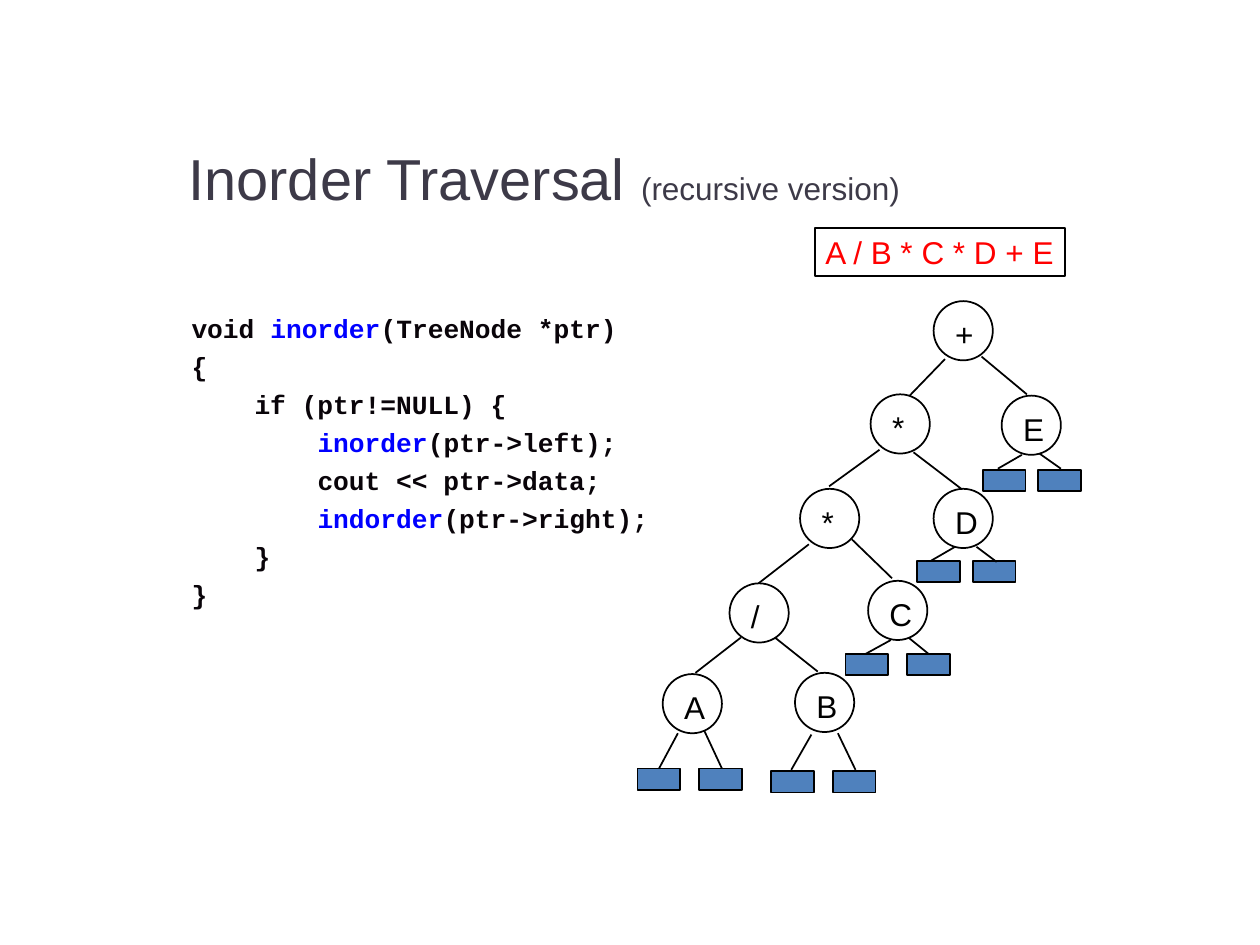
from lxml.etree import SubElement
from pptx import Presentation
from pptx.dml.color import RGBColor
from pptx.enum.shapes import MSO_CONNECTOR, MSO_SHAPE
from pptx.enum.text import MSO_ANCHOR, MSO_AUTO_SIZE, PP_ALIGN
from pptx.oxml.ns import qn
from pptx.util import Inches, Pt

COLS, ROWS = 100, 75
BLACK, BLUE, RED = "000000", "0000FF", "FF0000"
CODE, TITLE, LEAF = "090409", "3D3A48", "4F81BD"
SIZE = 4.7

CODE_ROWS = [
    (0, [("void ", CODE), ("inorder", BLUE), ("(TreeNode *ptr)", CODE)]),
    (0, [("{", CODE)]),
    (1, [("if (ptr!=NULL) {", CODE)]),
    (2, [("inorder", BLUE), ("(ptr->left);", CODE)]),
    (2, [("cout << ptr->data;", CODE)]),
    (2, [("indorder", BLUE), ("(ptr->right);", CODE)]),
    (1, [("}", CODE)]),
    (0, [("}", CODE)]),
]
NODES = [
    ("+", 74.1, 23.9), ("*", 69.1, 31.3), ("E", 79.5, 31.4),
    ("*", 63.5, 38.8), ("D", 74.1, 38.8), ("/", 57.9, 46.3),
    ("C", 68.9, 46.1), ("A", 52.6, 53.5), ("B", 63.1, 53.4),
]
WIDTHS = {"+": 3, "*": 2.5, "/": 2.2, "C": 3.3, "D": 3.3}
LEAVES = [
    (50.6, 61, 4.9), (61.2, 61.2, 4.9), (67.1, 51.9, 4.9),
    (72.8, 44.5, 4.4), (78, 37.3, 4.4),
]
EDGES = [
    (75, 28.5, 72.2, 31.4), (77.9, 28.3, 81.5, 31.3),
    (69.8, 35.7, 65.8, 38.6), (72.5, 35.9, 76.3, 38.8),
    (64.2, 43.2, 60.2, 46.3), (67.6, 42.8, 70.8, 45.9),
    (58.8, 50.6, 55.2, 53.4), (61.5, 50.6, 64.9, 53.3),
    (53.8, 58.2, 52.3, 61), (55.9, 58, 57.3, 61),
    (64.4, 58.3, 62.8, 61.1), (66.5, 58.2, 67.9, 61.1),
    (70.7, 50.8, 68.7, 51.9), (72.1, 50.6, 73.7, 51.9),
    (75.8, 43.4, 73.9, 44.5), (77.5, 43.4, 79.1, 44.6),
    (81.1, 36.1, 79.2, 37.2), (82.5, 36, 84.2, 37.2),
]


def color(code):
    return RGBColor.from_string(code)


class Deck:
    font, mono = "Arial", "Courier New"

    def __init__(self):
        self.prs = Presentation()
        self.prs.slide_width, self.prs.slide_height = Inches(10), Inches(7.5)
        self.slide = self.prs.slides.add_slide(self.prs.slide_layouts[6])
        self.shapes = self.slide.shapes

    def grid(self, *spots):
        wide = self.prs.slide_width / COLS
        high = self.prs.slide_height / ROWS
        return [round(n * (high if i % 2 else wide)) for i, n in enumerate(spots)]

    def frame(self, shape, wrap):
        frame = shape.text_frame
        frame.word_wrap = wrap
        frame.margin_left = frame.margin_right = Inches(0.08)
        frame.margin_top = frame.margin_bottom = Inches(0.04)
        if not wrap:
            frame.auto_size = MSO_AUTO_SIZE.SHAPE_TO_FIT_TEXT
        return frame

    def box(self, *spots, wrap=True):
        return self.frame(self.shapes.add_textbox(*self.grid(*spots)), wrap)

    def run(self, para, text, size, tint, font=None, bold=False):
        run = para.add_run()
        run.text = text
        run.font.name = font or self.font
        run.font.size = Pt(size)
        run.font.bold = bold
        run.font.color.rgb = color(tint)

    def shape(self, kind, *spots, fill=None):
        shape = self.shapes.add_shape(kind, *self.grid(*spots))
        shape.shadow.inherit = False
        shape.line.color.rgb = color(BLACK)
        shape.line.width = Pt(1)
        if fill:
            shape.fill.solid()
            shape.fill.fore_color.rgb = color(fill)
        else:
            shape.fill.background()
        return shape

    def line(self, *spots):
        line = self.shapes.add_connector(MSO_CONNECTOR.STRAIGHT, *self.grid(*spots))
        line.line.color.rgb = color(BLACK)
        line.line.width = Pt(1)
        SubElement(line._element.spPr, qn("a:effectLst"))

    def title(self, *spots):
        frame = self.box(*spots)
        frame.vertical_anchor = MSO_ANCHOR.MIDDLE
        para = frame.paragraphs[0]
        para.alignment = PP_ALIGN.CENTER
        self.run(para, "Inorder Traversal ", 33, TITLE)
        self.run(para, "(recursive version)", 18, TITLE)

    def code(self, rows, *spots):
        frame = self.box(*spots)
        for i, (level, parts) in enumerate(rows):
            para = frame.add_paragraph() if i else frame.paragraphs[0]
            para.space_before = Pt(3.7)
            para._p.get_or_add_pPr().set("marL", str(Inches(level * 0.5)))
            for text, tint in parts:
                self.run(para, text, 15, tint, self.mono, True)

    def node(self, text, x, y):
        self.shape(MSO_SHAPE.OVAL, x, y, SIZE, SIZE)
        frame = self.box(x + 0.9, y + 0.7, WIDTHS.get(text, 3.2), 3.8, wrap=False)
        self.run(frame.paragraphs[0], text, 18, BLACK)

    def leaf(self, x, y):
        self.shape(MSO_SHAPE.RECTANGLE, x, y, 3.4, 1.7, fill=LEAF)

    def label(self, text, *spots):
        frame = self.frame(self.shape(MSO_SHAPE.RECTANGLE, *spots), False)
        frame.vertical_anchor = MSO_ANCHOR.TOP
        para = frame.paragraphs[0]
        para.alignment = PP_ALIGN.LEFT
        self.run(para, text, 18, RED)


def main():
    deck = Deck()
    deck.title(5.6, 9.4, 75.2, 9.4)
    deck.code(CODE_ROWS, 14.4, 24.4, 47.5, 30)
    for node in NODES:
        deck.node(*node)
    for x, y, gap in LEAVES:
        deck.leaf(x, y)
        deck.leaf(x + gap, y)
    for edge in EDGES:
        deck.line(*edge)
    deck.label("A / B * C * D + E", 64.7, 18.1, 19.8, 3.8)
    deck.prs.save("out.pptx")


if __name__ == "__main__":
    main()
